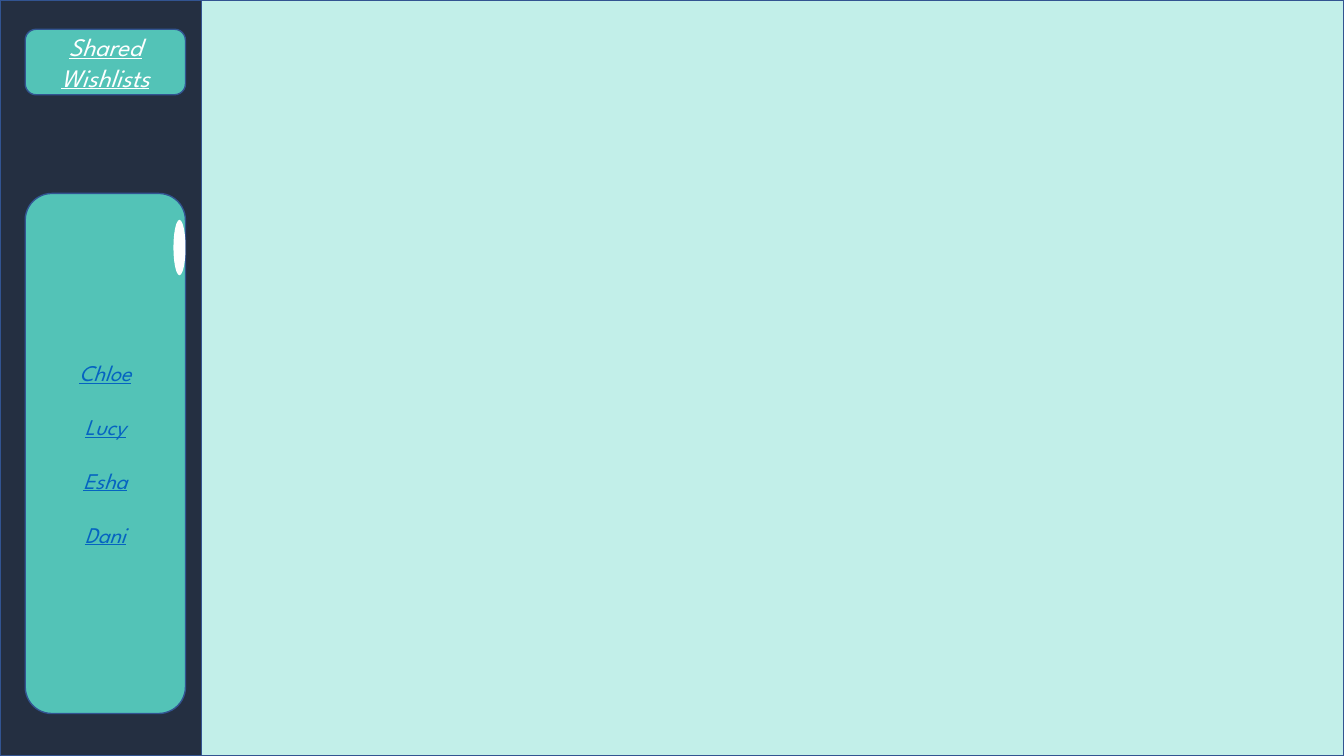
from dataclasses import dataclass

from pptx import Presentation
from pptx.dml.color import RGBColor
from pptx.enum.shapes import MSO_SHAPE
from pptx.enum.text import MSO_ANCHOR, MSO_AUTO_SIZE, PP_ALIGN
from pptx.util import Pt

RECTANGLE = MSO_SHAPE.RECTANGLE
ROUNDED = MSO_SHAPE.ROUNDED_RECTANGLE
OVAL = MSO_SHAPE.OVAL
MIDDLE = MSO_ANCHOR.MIDDLE
CENTER = PP_ALIGN.CENTER
NO_AUTOFIT = MSO_AUTO_SIZE.NONE


@dataclass(frozen=True)
class Theme:
    font: str = "League Spartan"
    navy: str = "242F41"
    mint: str = "C2EFE9"
    teal: str = "53C3B7"
    outline: str = "325491"
    white: str = "FFFFFF"
    link: str = "0563C1"
    title_size: float = 18
    name_size: float = 16
    line_width: float = 1


class Painter:
    def __init__(self, page, theme):
        self.page = page
        self.theme = theme

    def shape(self, kind, area, fill, outlined=True):
        box = self.page.shapes.add_shape(kind, *map(Pt, area))
        box.shadow.inherit = False
        box.fill.solid()
        box.fill.fore_color.rgb = RGBColor.from_string(fill)
        if outlined:
            box.line.color.rgb = RGBColor.from_string(self.theme.outline)
            box.line.width = Pt(self.theme.line_width)
        else:
            box.line.fill.background()
        return box

    def text(self, box, lines, size, color, gap=0):
        frame = box.text_frame
        frame_format = {
            "word_wrap": True, "auto_size": NO_AUTOFIT, "vertical_anchor": MIDDLE,
            "margin_left": Pt(7.2), "margin_right": Pt(7.2),
            "margin_top": Pt(3.6), "margin_bottom": Pt(3.6),
        }
        self.apply(frame, frame_format)
        font_format = {"name": self.theme.font, "size": Pt(size),
                       "bold": False, "italic": True, "underline": True}
        for index, line in enumerate(lines):
            para = frame.add_paragraph() if index else frame.paragraphs[0]
            space = Pt(gap if index else 0)
            self.apply(para, {"alignment": CENTER, "line_spacing": 1.0,
                              "space_before": space, "space_after": Pt(0)})
            span = para.add_run()
            span.text = line
            self.apply(span.font, font_format)
            span.font.color.rgb = RGBColor.from_string(color)

    def title(self, area, words, size, color):
        title = self.page.shapes.title
        places = ("left", "top", "width", "height")
        self.apply(title, dict(zip(places, map(Pt, area))))
        self.text(title, [words], size, color)
        # Bring the title in front of its button
        self.page.shapes.element.append(title.element)

    @staticmethod
    def apply(target, values):
        for name, value in values.items():
            setattr(target, name, value)


def main():
    theme = Theme()
    deck = Presentation()
    width, height, sidebar = 960, 540, 144
    deck.slide_width, deck.slide_height = Pt(width), Pt(height)
    page = deck.slides.add_slide(deck.slide_layouts[5])
    painter = Painter(page, theme)

    # Sidebar and main area
    painter.shape(RECTANGLE, (0, 0, sidebar, height), theme.navy)
    painter.shape(RECTANGLE, (sidebar, 0, width - sidebar, height), theme.mint)

    # Title button
    left, panel_width = 18, 114.5
    button = (left, 20.9, panel_width, 46.8)
    painter.shape(ROUNDED, button, theme.teal)
    painter.title(button, "Shared Wishlists", theme.title_size, theme.white)

    # List of people
    people = painter.shape(ROUNDED, (left, 138.2, panel_width, 371.5), theme.teal)
    painter.text(people, ["Chloe", "Lucy", "Esha", "Dani"],
                 theme.name_size, theme.link, gap=19.2)

    # Scroll handle at the right edge of the list
    handle = 8.6
    painter.shape(OVAL, (left + panel_width - handle, 157, handle, 39.6),
                  theme.white, outlined=False)

    deck.save("out.pptx")


if __name__ == "__main__":
    main()
